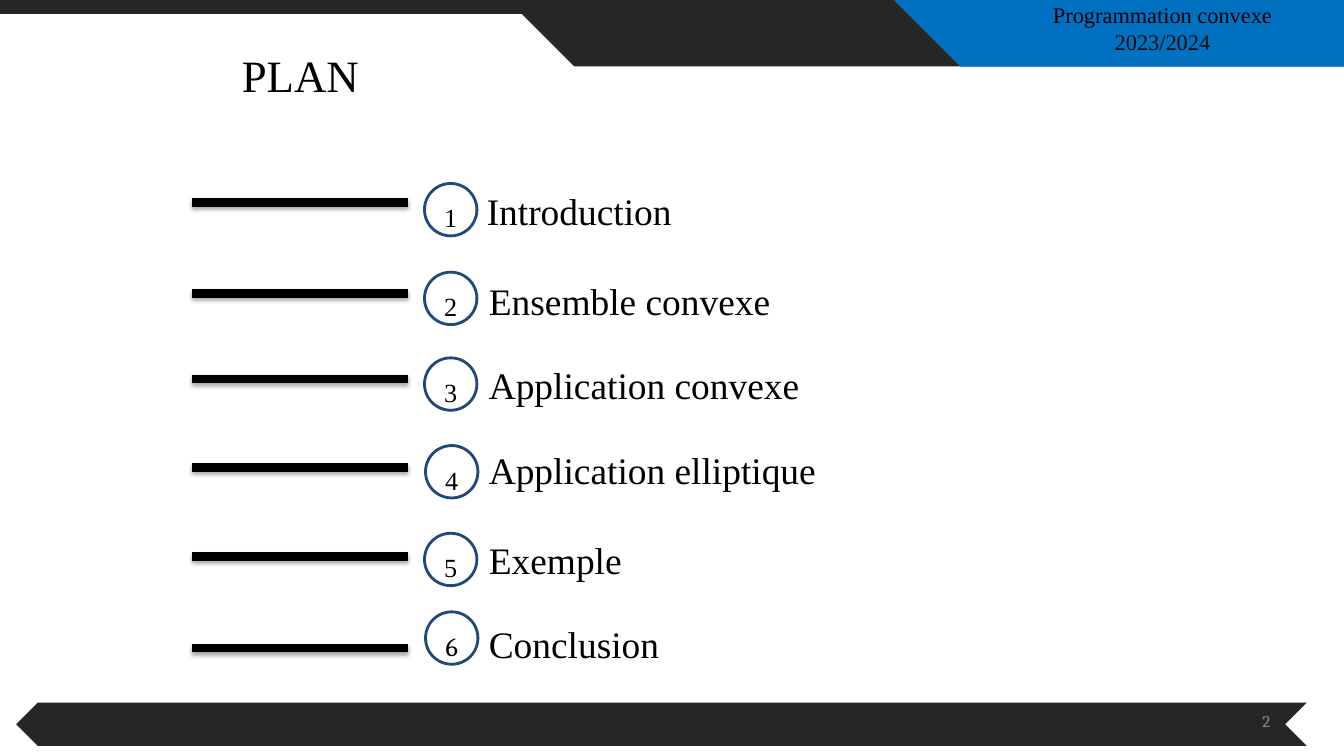
from dataclasses import dataclass

from lxml import etree
from pptx import Presentation
from pptx.dml.color import RGBColor
from pptx.enum import shapes, text
from pptx.oxml import ns
from pptx.util import Inches, Pt


@dataclass(frozen=True)
class Theme:
    dark: str = "262626"
    blue: str = "0070C0"
    ring: str = "1F497D"
    white: str = "FFFFFF"
    black: str = "000000"
    soft_black: str = "0C0C0C"
    grey: str = "888888"
    serif: str = "Times New Roman"
    number_font: str = "Cambria"
    title_size: float = 32
    topic_size: float = 26.7
    badge_size: float = 18.7
    header_size: float = 16
    footer_size: float = 12


THEME = Theme()
KINDS = shapes.MSO_SHAPE
ALIGN = text.PP_ALIGN
RULE_LEFT, RULE_RIGHT = 1.9, 4.05
BADGE_SIZE = 0.52
TOPIC_HEIGHT = 0.69

# label, label box (left, top, width), rule top, badge (left, top), badge font
TOPICS = [
    ("Introduction", (4.73, 1.59, 8.76), 2.01, (4.21, 1.82), THEME.serif),
    ("Ensemble convexe", (4.75, 2.49, 6.53), 2.91, (4.21, 2.7), THEME.serif),
    ("Application convexe", (4.75, 3.32, 8.76), 3.76, (4.21, 3.55), THEME.serif),
    ("Application elliptique", (4.75, 4.16, 8.76), 4.64, (4.22, 4.42), THEME.serif),
    ("Exemple", (4.75, 5.06, 8.44), 5.52, (4.21, 5.29), THEME.serif),
    ("Conclusion", (4.75, 5.89, 6.33), 6.43, (4.22, 6.07), THEME.number_font),
]


def color(value):
    return RGBColor.from_string(value)


def write(paragraph, words, size, tint=THEME.black, font=THEME.serif,
          align=ALIGN.LEFT, spacing=1.0):
    paragraph.alignment = align
    paragraph.line_spacing = spacing
    run = paragraph.add_run()
    run.text = words
    run.font.name = font
    run.font.size = Pt(size)
    run.font.color.rgb = color(tint)


def add_text_frame(slide, left, top, width, height):
    box = slide.shapes.add_textbox(*map(Inches, (left, top, width, height)))
    box.text_frame.word_wrap = True
    return box.text_frame


def add_shape(slide, kind, left, top, width, height, fill, rotation=0):
    shape = slide.shapes.add_shape(kind, *map(Inches, (left, top, width, height)))
    shape.shadow.inherit = False
    shape.fill.solid()
    shape.fill.fore_color.rgb = color(fill)
    shape.line.fill.background()
    shape.rotation = rotation
    return shape


def add_rule(slide, top):
    rule = slide.shapes.add_connector(
        shapes.MSO_CONNECTOR.STRAIGHT,
        *map(Inches, (RULE_LEFT, top, RULE_RIGHT, top)))
    rule.line.color.rgb = color(THEME.black)
    rule.line.width = Pt(6)
    properties = rule._element.spPr
    effects = etree.SubElement(properties, ns.qn("a:effectLst"))
    shadow = etree.SubElement(
        effects, ns.qn("a:outerShdw"), blurRad=str(Pt(3.1)), dist=str(Pt(1.8)),
        dir=str(90 * 60000), rotWithShape="0")
    tint = etree.SubElement(shadow, ns.qn("a:srgbClr"), val=THEME.black)
    etree.SubElement(tint, ns.qn("a:alpha"), val="35000")


def add_badge(slide, number, left, top, font):
    badge = add_shape(slide, KINDS.OVAL, left, top, BADGE_SIZE, BADGE_SIZE, THEME.white)
    badge.line.color.rgb = color(THEME.ring)
    badge.line.width = Pt(2)
    badge.text_frame.vertical_anchor = text.MSO_ANCHOR.MIDDLE
    write(badge.text_frame.paragraphs[0], str(number), THEME.badge_size,
          font=font, align=ALIGN.CENTER, spacing=1.5)


def add_topic(slide, number, label, box, rule_top, badge, badge_font):
    frame = add_text_frame(slide, *box, TOPIC_HEIGHT)
    write(frame.paragraphs[0], label, THEME.topic_size, spacing=1.5)
    add_rule(slide, rule_top)
    add_badge(slide, number, *badge, badge_font)


def add_header(slide):
    add_shape(slide, KINDS.RECTANGLE, 0, -0.52, 13.33, 1.18, THEME.dark)
    add_shape(slide, KINDS.PENTAGON, 0, 0.14, 5.87, 1.39, THEME.white)
    add_shape(slide, KINDS.PENTAGON, 8.71, -0.97, 4.62, 1.63, THEME.blue, 180)
    title = add_text_frame(slide, 2.3, 0.42, 2.76, 0.64)
    write(title.paragraphs[0], "PLAN", THEME.title_size)
    course = add_text_frame(slide, 9.76, -0.04, 3.54, 0.86)
    write(course.paragraphs[0], "Programmation convexe", THEME.header_size,
          align=ALIGN.CENTER)
    write(course.add_paragraph(), "2023/2024", THEME.header_size,
          THEME.soft_black, align=ALIGN.CENTER)


def add_footer(slide):
    add_shape(slide, KINDS.CHEVRON, 0.16, 6.97, 12.8, 0.43, THEME.dark, 180)
    frame = add_text_frame(slide, 9.56, 6.95, 3.11, 0.4)
    frame.vertical_anchor = text.MSO_ANCHOR.MIDDLE
    frame.margin_left = frame.margin_right = Inches(0.07)
    frame.margin_top = frame.margin_bottom = Inches(0.04)
    write(frame.paragraphs[0], "2", THEME.footer_size, THEME.grey,
          THEME.number_font, ALIGN.RIGHT)


def main():
    presentation = Presentation()
    presentation.slide_width = Inches(13.33)
    presentation.slide_height = Inches(7.5)
    slide = presentation.slides.add_slide(presentation.slide_layouts[6])
    add_header(slide)
    add_footer(slide)
    for number, topic in enumerate(TOPICS, start=1):
        add_topic(slide, number, *topic)
    presentation.save("out.pptx")


if __name__ == "__main__":
    main()
